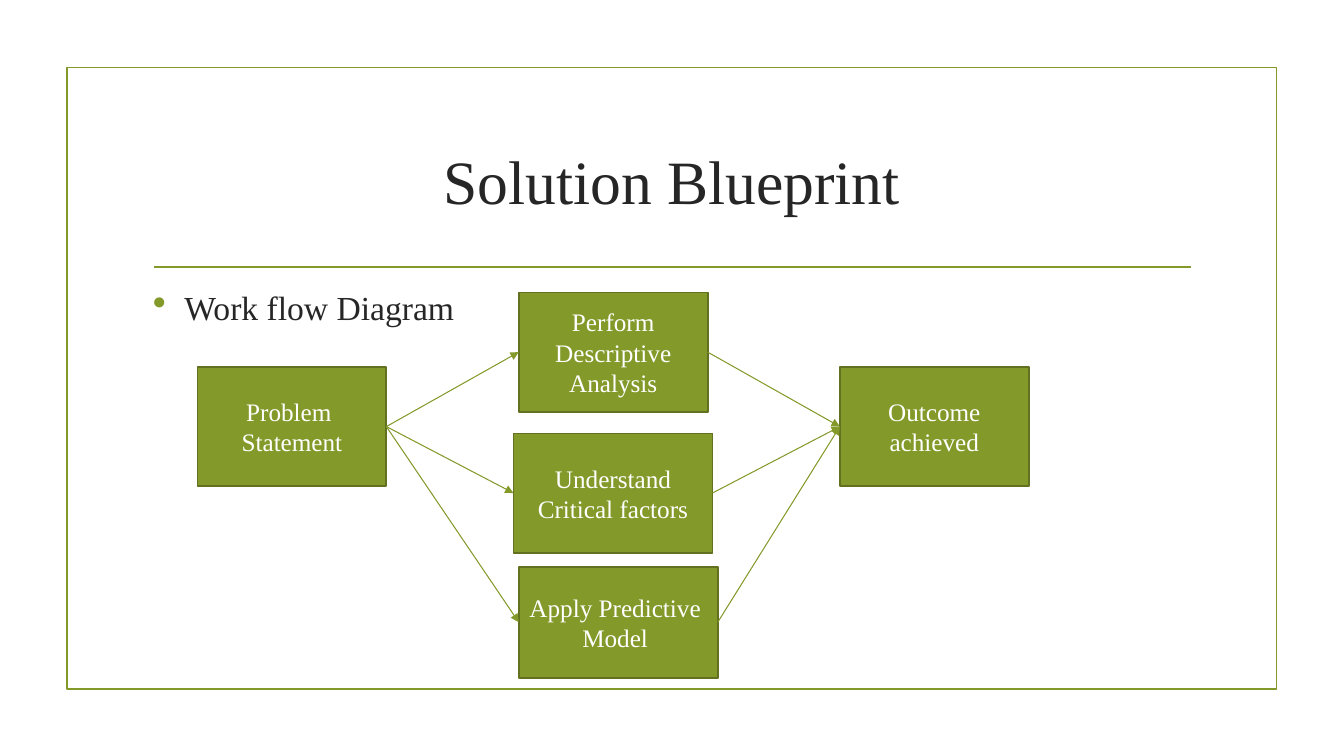
from lxml import etree
from pptx import Presentation
from pptx.dml.color import RGBColor
from pptx.enum.shapes import MSO_CONNECTOR as Connector, MSO_SHAPE as Shape
from pptx.enum.text import MSO_ANCHOR as Anchor, MSO_AUTO_SIZE as AutoSize, PP_ALIGN as Align
from pptx.oxml.ns import qn
from pptx.util import Pt

TITLE = "Solution Blueprint"
BULLET = "Work flow Diagram"
STEPS = {
    "problem": (["Problem ", "Statement"], (141.1, 262.1, 134.9, 85.2)),
    "describe": (["Perform", "Descriptive", "Analysis"], (370.6, 208.9, 134.9, 85.2)),
    "understand": (["Understand", "Critical factors"], (366.8, 309.6, 142.1, 85.2)),
    "predict": (["Apply Predictive ", "Model "], (370.6, 404.9, 142.1, 79.2)),
    "outcome": (["Outcome", "achieved"], (599.9, 262.1, 134.9, 85.2)),
}
BRANCHES = ["describe", "understand", "predict"]
ARROWS = [("problem", name) for name in BRANCHES] + [(name, "outcome") for name in BRANCHES]

FONT = "Times New Roman"
GREEN, DARK_GREEN, INK, WHITE = "83992A", "61711F", "262626", "FFFFFF"
LEFT_SITE, RIGHT_SITE = 1, 3


def color(value):
    return RGBColor.from_string(value)


def write(shape, lines, size=18, ink=WHITE, align=Align.CENTER, anchor=Anchor.MIDDLE):
    frame = shape.text_frame
    frame.word_wrap = True
    frame.auto_size = AutoSize.NONE
    frame.vertical_anchor = anchor
    for index, line in enumerate(lines):
        para = frame.paragraphs[0] if index == 0 else frame.add_paragraph()
        para.alignment = align
        span = para.add_run()
        span.text = line
        span.font.name = FONT
        span.font.size = Pt(size)
        span.font.color.rgb = color(ink)
    return frame


def add_bullet(para):
    para.space_before, para.space_after = Pt(3), Pt(6)
    props = para._p.get_or_add_pPr()
    props.set("marL", str(Pt(22.5)))
    props.set("indent", str(Pt(-22.5)))
    bullet_color = etree.SubElement(props, qn("a:buClr"))
    etree.SubElement(bullet_color, qn("a:srgbClr"), val=GREEN)
    etree.SubElement(props, qn("a:buSzPct"), val="115000")
    etree.SubElement(props, qn("a:buChar"), char="•")


def add_box(page, place, fill=None, line=GREEN):
    box = page.shapes.add_shape(Shape.RECTANGLE, *map(Pt, place))
    box.shadow.inherit = False
    if fill:
        box.fill.solid()
        box.fill.fore_color.rgb = color(fill)
    else:
        box.fill.background()
    box.line.color.rgb = color(line)
    box.line.width = Pt(1.25)
    return box


def add_line(page, ends=(0, 0, 0, 0), width=1.25):
    line = page.shapes.add_connector(Connector.STRAIGHT, *map(Pt, ends))
    line.line.color.rgb = color(GREEN)
    line.line.width = Pt(width)
    etree.SubElement(line._element.spPr, qn("a:effectLst"))
    return line


def add_arrow(page, start, end):
    arrow = add_line(page, width=0.75)
    arrow.begin_connect(start, RIGHT_SITE)
    arrow.end_connect(end, LEFT_SITE)
    etree.SubElement(arrow.line._get_or_add_ln(), qn("a:tailEnd"), type="triangle")


def main():
    deck = Presentation()
    deck.slide_width, deck.slide_height = Pt(960), Pt(540)
    page = deck.slides.add_slide(deck.slide_layouts[5])

    add_box(page, (47.8, 48.2, 864, 444))
    add_line(page, (110.2, 190.8, 850.6, 190.8))

    title = page.shapes.title
    title.left, title.top, title.width, title.height = map(Pt, (102, 77, 756, 103))
    write(title, [TITLE], size=44, ink=INK)

    body = page.shapes.add_textbox(*map(Pt, (102.2, 201.6, 756, 261.4)))
    frame = write(body, [BULLET], size=24, ink=INK, align=Align.LEFT, anchor=Anchor.TOP)
    add_bullet(frame.paragraphs[0])

    boxes = {}
    for name, (lines, place) in STEPS.items():
        boxes[name] = add_box(page, place, fill=GREEN, line=DARK_GREEN)
        write(boxes[name], lines)
    for start, end in ARROWS:
        add_arrow(page, boxes[start], boxes[end])

    deck.save("out.pptx")


if __name__ == "__main__":
    main()
